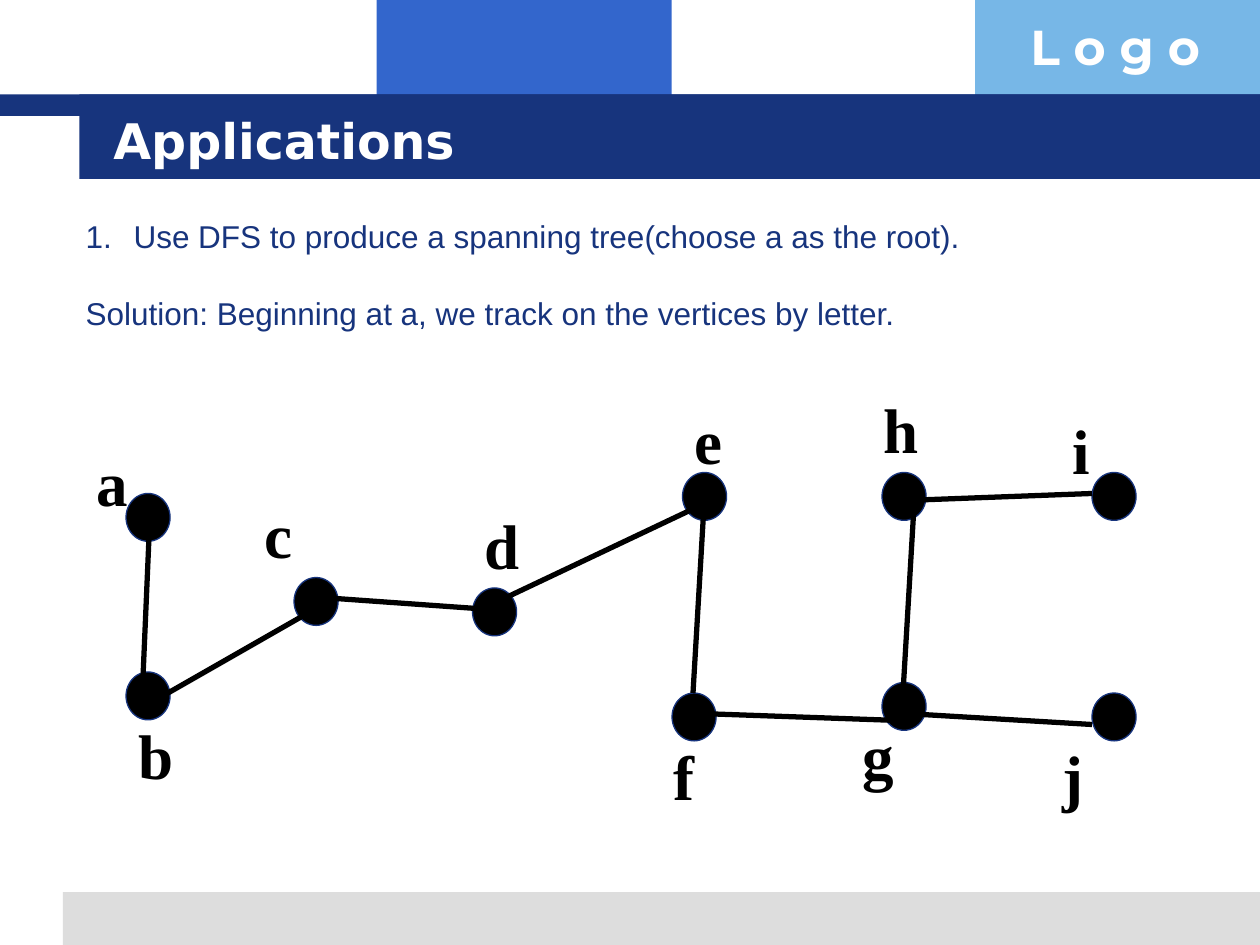
from lxml import etree
from pptx import Presentation
from pptx.dml.color import RGBColor
from pptx.enum.shapes import MSO_CONNECTOR, MSO_SHAPE
from pptx.enum.text import MSO_ANCHOR, PP_ALIGN
from pptx.oxml.ns import qn
from pptx.util import Inches, Pt

RECT, OVAL = MSO_SHAPE.RECTANGLE, MSO_SHAPE.OVAL
LINE = MSO_CONNECTOR.STRAIGHT
LEFT = PP_ALIGN.LEFT
TOP, MIDDLE = MSO_ANCHOR.TOP, MSO_ANCHOR.MIDDLE

NAVY, BLUE, SKY = "17347D", "3366CC", "77B7E7"
GRAY, WHITE, BLACK = "DDDDDD", "FFFFFF", "000000"
CELL = 1 / 12

BANDS = [
    (2.99, 0, 2.34, 0.92, BLUE),
    (7.74, 0, 2.26, 0.92, SKY),
    (0.5, 7.08, 9.5, 0.42, GRAY),
    (0, 0.75, 10, 0.17, NAVY),
    (0.63, 0.75, 9.37, 0.67, NAVY),
]
NODES = {
    "a": ((12, 47), (8, 41)),
    "b": ((12, 64), (12, 67)),
    "c": ((28, 55), (24, 46)),
    "d": ((45, 56), (45, 47)),
    "e": ((65, 45), (65, 37)),
    "f": ((64, 66), (63, 69)),
    "g": ((84, 65), (81, 67)),
    "h": ((84, 45), (83, 36)),
    "i": ((104, 45), (101, 38)),
    "j": ((104, 66), (100, 69)),
}
EDGES = [
    ((14.2, 51), (13.6, 65)),
    ((30, 58), (16, 66)),
    ((46, 58), (32, 57)),
    ((67, 48), (48, 57)),
    ((67, 49), (66, 66)),
    ((85, 68.6), (68, 68)),
    ((104, 47), (88, 47.6)),
    ((87, 49), (86, 66)),
    ((104, 69), (87, 68)),
]


def tint(code):
    return RGBColor.from_string(code)


def place(item, *box):
    item.left, item.top, item.width, item.height = map(Inches, box)


def style(para, face, size, color, bold=False):
    para.alignment = LEFT
    para.space_before = Pt(0)
    for run in para.runs:
        run.font.name = face
        run.font.size = Pt(size)
        run.font.bold = bold
        run.font.color.rgb = tint(color)


def shape(slide, kind, box, fill, edge=None):
    item = slide.shapes.add_shape(kind, *map(Inches, box))
    item.shadow.inherit = False
    item.fill.solid()
    item.fill.fore_color.rgb = tint(fill)
    if edge:
        item.line.color.rgb = tint(edge)
        item.line.width = Pt(0.75)
    else:
        item.line.fill.background()


def label(slide, text, box, face, size, color, inset=0.05):
    frame = slide.shapes.add_textbox(*map(Inches, box)).text_frame
    frame.word_wrap = True
    frame.margin_top = Inches(inset)
    frame.text = text
    style(frame.paragraphs[0], face, size, color, True)


def link(slide, start, end):
    ends = [Inches(n * CELL) for n in (*start, *end)]
    item = slide.shapes.add_connector(LINE, *ends)
    item.line.color.rgb = tint(BLACK)
    item.line.width = Pt(3)
    etree.SubElement(item._element.spPr, qn("a:effectLst"))


def title(slide, text):
    item = slide.shapes.title
    slide.shapes._spTree.append(item._element)
    place(item, 0.8, 0.8, 8.53, 0.62)
    frame = item.text_frame
    frame.text = text
    frame.vertical_anchor = MIDDLE
    style(frame.paragraphs[0], "DejaVu Sans", 28, WHITE, True)


def body(slide, task, note):
    item = slide.placeholders[1]
    slide.shapes._spTree.append(item._element)
    place(item, 0.58, 1.67, 8.75, 1.01)
    frame = item.text_frame
    frame.vertical_anchor = TOP
    frame.text = task
    frame.add_paragraph().text = note
    for para, mark in zip(frame.paragraphs, ("a:buAutoNum", "a:buNone")):
        props = para._p.get_or_add_pPr()
        props.set("marL", str(Inches(0.38)))
        props.set("indent", str(-Inches(0.38)))
        bullet = etree.SubElement(props, qn(mark))
        if mark == "a:buAutoNum":
            bullet.set("type", "arabicPeriod")
        style(para, "Arial", 18, NAVY)
    frame.paragraphs[1].space_before = Pt(22.5)


def graph(slide):
    for col, row in (spot for spot, _ in NODES.values()):
        shape(slide, OVAL, (col * CELL, row * CELL, 0.35, 0.38), BLACK, NAVY)
    for start, end in EDGES:
        link(slide, start, end)
    for name, (_, (col, row)) in NODES.items():
        box = (col * CELL, row * CELL, 0.62, 0.84)
        label(slide, name, box, "Times New Roman", 36, BLACK, 0.1)


def main():
    deck = Presentation()
    deck.slide_width, deck.slide_height = Inches(10), Inches(7.5)
    slide = deck.slides.add_slide(deck.slide_layouts[1])
    for *box, fill in BANDS:
        shape(slide, RECT, box, fill)
    label(slide, "L o g o", (8.08, 0.08, 1.93, 0.57), "Montserrat", 28, WHITE)
    title(slide, "Applications")
    body(
        slide,
        "Use DFS to produce a spanning tree(choose a as the root).",
        "Solution: Beginning at a, we track on the vertices by letter.",
    )
    graph(slide)
    deck.save("out.pptx")


if __name__ == "__main__":
    main()
